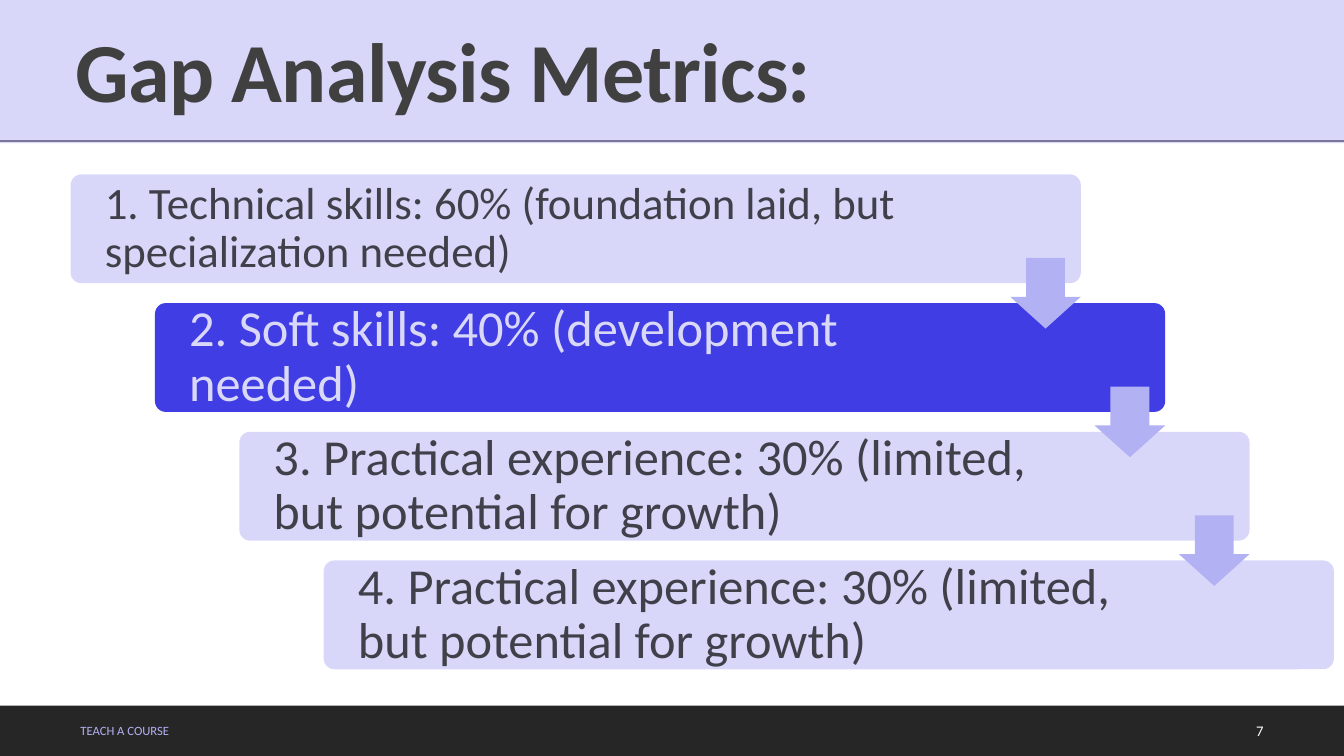
import dataclasses

import pptx
import pptx.dml.color
import pptx.enum.shapes
import pptx.enum.text
import pptx.oxml.ns
import pptx.util
from lxml import etree

Inches = pptx.util.Inches
Shapes = pptx.enum.shapes.MSO_SHAPE
Align = pptx.enum.text.PP_ALIGN
qn = pptx.oxml.ns.qn


@dataclasses.dataclass(frozen=True)
class Theme:
    font: str = "Calibri"
    lavender: str = "B2B1F4"
    pale: str = "D9D8F9"
    indigo: str = "3F3DE3"
    charcoal: str = "404040"
    footer_bar: str = "262626"
    black: str = "000000"
    white: str = "FFFFFF"
    title_size: float = 60
    long_step_size: float = 32
    step_size: float = 36
    footer_size: float = 9
    number_size: float = 10.5


class SlideBuilder:
    def __init__(self, slide, theme):
        self.shapes = slide.shapes
        self.theme = theme

    def paint(self, fill, color, opacity=100):
        """Apply a solid fill to a shape or font; opacity is a percentage."""
        fill.solid()
        fill.fore_color.rgb = pptx.dml.color.RGBColor.from_string(color)
        if opacity < 100:
            srgb = fill._xPr.find(f"{qn('a:solidFill')}/{qn('a:srgbClr')}")
            etree.SubElement(srgb, qn("a:alpha")).set("val", str(opacity * 1000))

    def shape(self, kind, box, color, opacity=100, adjustments=()):
        shape = self.shapes.add_shape(kind, *map(Inches, box))
        shape.shadow.inherit = False
        self.paint(shape.fill, color, opacity)
        shape.line.fill.background()
        for index, value in enumerate(adjustments):
            shape.adjustments[index] = value
        return shape

    def rule(self, start, end, color, width):
        line = self.shapes.add_connector(
            pptx.enum.shapes.MSO_CONNECTOR.STRAIGHT, *map(Inches, start + end))
        line.line.color.rgb = pptx.dml.color.RGBColor.from_string(color)
        line.line.width = pptx.util.Pt(width)
        etree.SubElement(line._element.spPr, qn("a:effectLst"))

    def label(self, shape, text, size, color, opacity=100, insets=(0.1, 0.05, 0.1, 0.05),
              align=Align.LEFT, line_spacing=1.0, bold=False, tracking=0):
        """Fill a shape with one paragraph; insets run left, top, right, bottom."""
        frame = shape.text_frame
        frame.word_wrap = True
        frame.vertical_anchor = pptx.enum.text.MSO_ANCHOR.MIDDLE
        (frame.margin_left, frame.margin_top,
         frame.margin_right, frame.margin_bottom) = map(Inches, insets)
        paragraph = frame.paragraphs[0]
        paragraph.alignment = align
        paragraph.line_spacing = line_spacing
        paragraph.font.name = self.theme.font
        paragraph.font.size = pptx.util.Pt(size)
        paragraph.font.bold = bold
        self.paint(paragraph.font.fill, color, opacity)
        run = paragraph.add_run()
        run.text = text
        if tracking:
            run._r.get_or_add_rPr().set("spc", str(int(tracking * 100)))

    def text(self, box, text, size, color, **style):
        self.label(self.shapes.add_textbox(*map(Inches, box)), text, size, color, **style)


def main():
    theme = Theme()
    deck = pptx.Presentation()
    deck.slide_width, deck.slide_height = Inches(13.33), Inches(7.5)
    builder = SlideBuilder(deck.slides.add_slide(deck.slide_layouts[6]), theme)

    builder.shape(Shapes.RECTANGLE, (0, 7, 13.33, 0.5), theme.footer_bar)
    builder.rule((0, 1.4), (13.33, 1.4), theme.charcoal, 1)
    builder.text((0.7, 7.05, 7.46, 0.4), "TEACH A COURSE", theme.footer_size, theme.lavender)
    builder.text((11.95, 7.05, 0.68, 0.4), "7", theme.number_size, theme.white,
                 align=Align.RIGHT)

    title = builder.shape(Shapes.RECTANGLE, (0, 0, 13.33, 1.42), theme.lavender, 50)
    builder.label(title, "Gap Analysis Metrics:", theme.title_size, theme.charcoal,
                  insets=(0.75, 0.12, 0.1, 0.05), line_spacing=0.9, bold=True, tracking=-0.5)

    soft = (theme.lavender, 50, theme.black, 70)
    strong = (theme.indigo, 100, theme.pale, 100)
    metrics = [
        ("1. Technical skills: 60% (foundation laid, but specialization needed)",
         theme.long_step_size, 8.76, 0.13, soft),
        ("2. Soft skills: 40% (development needed)", theme.step_size, 8.41, 0.15, strong),
        ("3. Practical experience: 30% (limited, but potential for growth)",
         theme.step_size, 8.43, 0.15, soft),
        ("4. Practical experience: 30% (limited, but potential for growth)",
         theme.step_size, 8.41, 0.15, soft),
    ]
    step_width, step_height, arrow_size = 10.02, 1.08, 0.7
    corners = [(0.7 + 2.51 / 3 * i, 1.73 + 3.83 / 3 * i) for i in range(len(metrics))]

    for (left, top), (metric, size, width, inset, colors) in zip(corners, metrics):
        fill, fill_opacity, ink, ink_opacity = colors
        builder.shape(Shapes.ROUNDED_RECTANGLE, (left, top, step_width, step_height),
                      fill, fill_opacity, (0.1,))
        builder.text((left + 0.03, top + 0.03, width, 1.02), metric, size, ink,
                     opacity=ink_opacity, insets=(0.31, inset, inset, inset),
                     line_spacing=0.9)

    for left, top in corners[:-1]:
        builder.shape(Shapes.DOWN_ARROW,
                      (left + step_width - arrow_size, top + 0.83, arrow_size, arrow_size),
                      theme.lavender, adjustments=(0.55, 0.45))

    deck.save("out.pptx")


if __name__ == "__main__":
    main()
